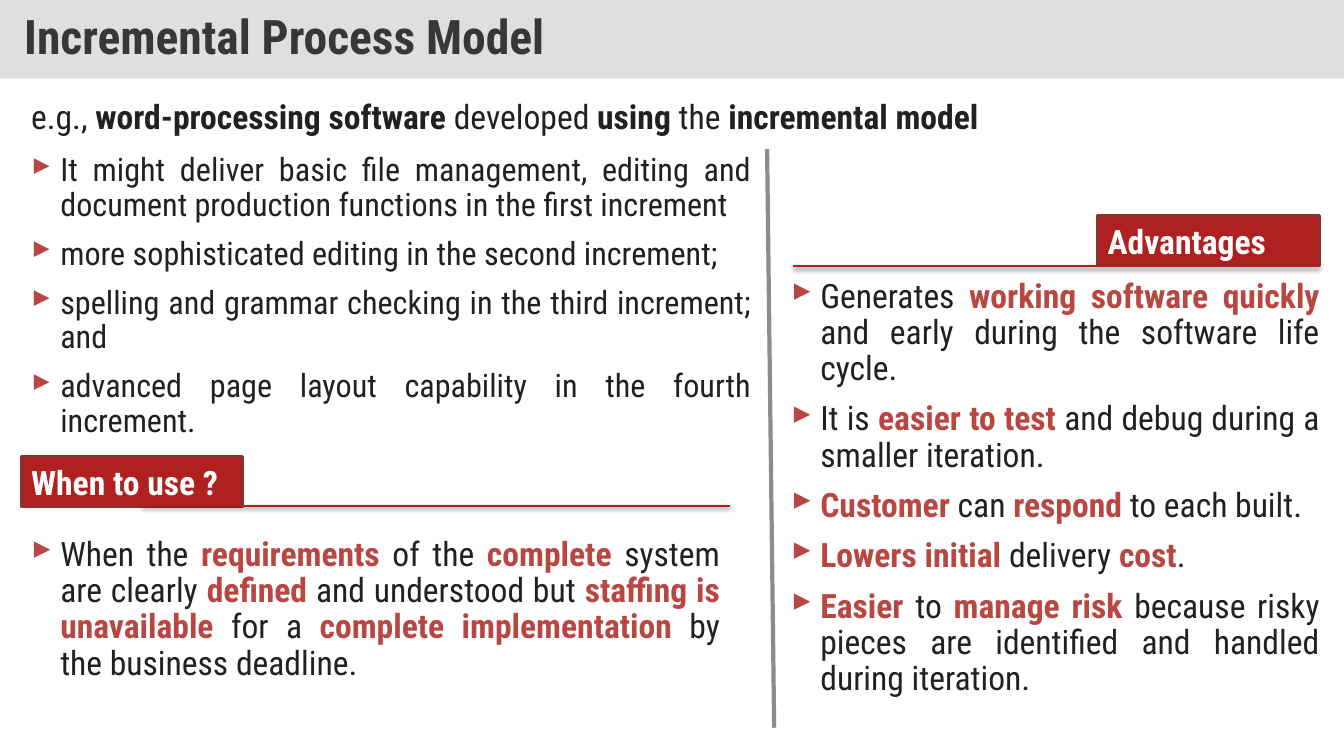
from dataclasses import dataclass

from lxml.etree import SubElement
from pptx import Presentation
from pptx.dml.color import RGBColor
from pptx.enum.shapes import MSO_CONNECTOR, MSO_SHAPE
from pptx.enum.text import MSO_ANCHOR, MSO_AUTO_SIZE, PP_ALIGN
from pptx.oxml.ns import qn
from pptx.util import Inches, Length, Pt

FONT = "Roboto Condensed"
INK = "212121"
RED = "B02020"
ROSE = "B84742"
COLS, ROWS = 133.33, 75
INDENT = 2.9


@dataclass
class Box:
    left: float
    top: float
    width: float
    height: float


@dataclass
class Block:
    box: Box
    lines: list[str]
    size: float = 24
    accent: str = ROSE
    listed: bool = True


@dataclass
class Label:
    box: Box
    text: str


@dataclass
class Rule:
    start: tuple[float, float]
    end: tuple[float, float]
    color: str = RED
    width: float = 2
    shaded: bool = True


BLOCKS = [
    Block(Box(2.1, 52.8, 70.3, 16.6), [
        "When the *requirements *of the *complete *system are clearly *defined *and understood but "
        "*staffing is unavailable *for a *complete implementation* by the business deadline.",
    ]),
    Block(Box(77.5, 27.2, 54.4, 43.7), [
        "Generates *working software quickly *and early during the software life cycle.",
        "It is *easier to test *and debug during a smaller iteration.",
        "*Customer *can *respond *to each built.",
        "*Lowers initial *delivery *cost*.",
        "*Easier *to *manage risk *because risky pieces are identified and handled during iteration.",
    ]),
    Block(Box(2.1, 9, 101.8, 5), [
        "e.g., *word-processing software* developed *using* the *incremental model*",
    ], accent=INK, listed=False),
    Block(Box(2.1, 14.8, 73.5, 28.7), [
        "It might deliver basic file management, editing and document production functions "
        "in the first increment",
        "more sophisticated editing in the second increment;",
        "spelling and grammar checking in the third increment; and",
        "advanced page layout capability in the fourth increment.",
    ], size=23),
]
LABELS = [
    Label(Box(2.1, 45.3, 22, 5), "When to use ?"),
    Label(Box(108.9, 21.4, 22, 5), "Advantages"),
]
RULES = [
    Rule((14.1, 50.2), (72.4, 50.2)),
    Rule((78.7, 26.4), (130.9, 26.4)),
    Rule((76.1, 14.8), (76.8, 72.2), "8C8C8C", 3, False),
]


def unit(count: float) -> Length:
    return Inches(count / 10)


def place(box: Box) -> tuple[Length, ...]:
    return unit(box.left), unit(box.top), unit(box.width), unit(box.height)


def tint(text: str) -> RGBColor:
    return RGBColor.from_string(text)


def style(run, size: float, color: str, bold: bool) -> None:
    run.font.name = FONT
    run.font.size = Pt(size)
    run.font.bold = bold
    run.font.color.rgb = tint(color)


def add_title(slide, text: str) -> None:
    title = slide.shapes.title
    title.left, title.top, title.width, title.height = place(Box(0, 0, COLS, 7.8))
    title.fill.solid()
    title.fill.fore_color.rgb = tint("C0C0C0")
    tone = title.fill._xPr.find(qn("a:solidFill"))[0]
    SubElement(tone, qn("a:alpha"), val="50000")
    frame = title.text_frame
    frame.text = text
    frame.word_wrap = True
    frame.auto_size = MSO_AUTO_SIZE.NONE
    frame.vertical_anchor = MSO_ANCHOR.MIDDLE
    frame.margin_left = frame.margin_right = unit(2.4)
    frame.margin_top = frame.margin_bottom = unit(1.2)
    line = frame.paragraphs[0]
    line.alignment = PP_ALIGN.LEFT
    line.line_spacing = 0.9
    line.space_before = Pt(0)
    style(line.runs[0], 34, "373737", True)


def add_label(slide, label: Label) -> None:
    shape = slide.shapes.add_shape(MSO_SHAPE.RECTANGLE, *place(label.box))
    shape.shadow.inherit = False
    shape.fill.solid()
    shape.fill.fore_color.rgb = tint(RED)
    shape.line.color.rgb = tint("863330")
    shape.line.width = Pt(2)
    frame = shape.text_frame
    frame.text = label.text
    frame.word_wrap = True
    frame.vertical_anchor = MSO_ANCHOR.TOP
    line = frame.paragraphs[0]
    line.alignment = PP_ALIGN.LEFT
    style(line.runs[0], 24, "FFFFFF", True)


def add_rule(slide, rule: Rule) -> None:
    ends = [unit(value) for value in (*rule.start, *rule.end)]
    line = slide.shapes.add_connector(MSO_CONNECTOR.STRAIGHT, *ends)
    line.line.color.rgb = tint(rule.color)
    line.line.width = Pt(rule.width)
    effects = SubElement(line._element.spPr, qn("a:effectLst"))
    if rule.shaded:
        shade = SubElement(effects, qn("a:outerShdw"), blurRad=str(Pt(3.1)),
                           dist=str(Pt(1.6)), dir="5400000", rotWithShape="0")
        tone = SubElement(shade, qn("a:srgbClr"), val="000000")
        SubElement(tone, qn("a:alpha"), val="38000")


def add_bullet(line, first: bool) -> None:
    line.alignment = PP_ALIGN.JUSTIFY
    line.line_spacing = 0.9
    line.space_before = Pt(0 if first else 10)
    props = line._p.get_or_add_pPr()
    props.set("marL", str(unit(INDENT)))
    props.set("indent", str(-unit(INDENT)))
    tone = SubElement(props, qn("a:buClr"))
    SubElement(tone, qn("a:srgbClr"), val=ROSE)
    SubElement(props, qn("a:buFont"), typeface="Wingdings 3", pitchFamily="18", charset="2")
    SubElement(props, qn("a:buChar"), char="}")


def add_block(slide, block: Block) -> None:
    frame = slide.shapes.add_textbox(*place(block.box)).text_frame
    frame.word_wrap = True
    for row, text in enumerate(block.lines):
        line = frame.paragraphs[0] if row == 0 else frame.add_paragraph()
        if block.listed:
            add_bullet(line, row == 0)
        for part, words in enumerate(text.split("*")):
            if words:
                run = line.add_run()
                run.text = words
                bold = part % 2 == 1
                style(run, block.size, block.accent if bold else INK, bold)


def main() -> None:
    deck = Presentation()
    deck.slide_width, deck.slide_height = unit(COLS), unit(ROWS)
    slide = deck.slides.add_slide(deck.slide_layouts[5])
    add_title(slide, "Incremental Process Model")
    for label in LABELS:
        add_label(slide, label)
    for rule in RULES:
        add_rule(slide, rule)
    for block in BLOCKS:
        add_block(slide, block)
    deck.save("out.pptx")


if __name__ == "__main__":
    main()
